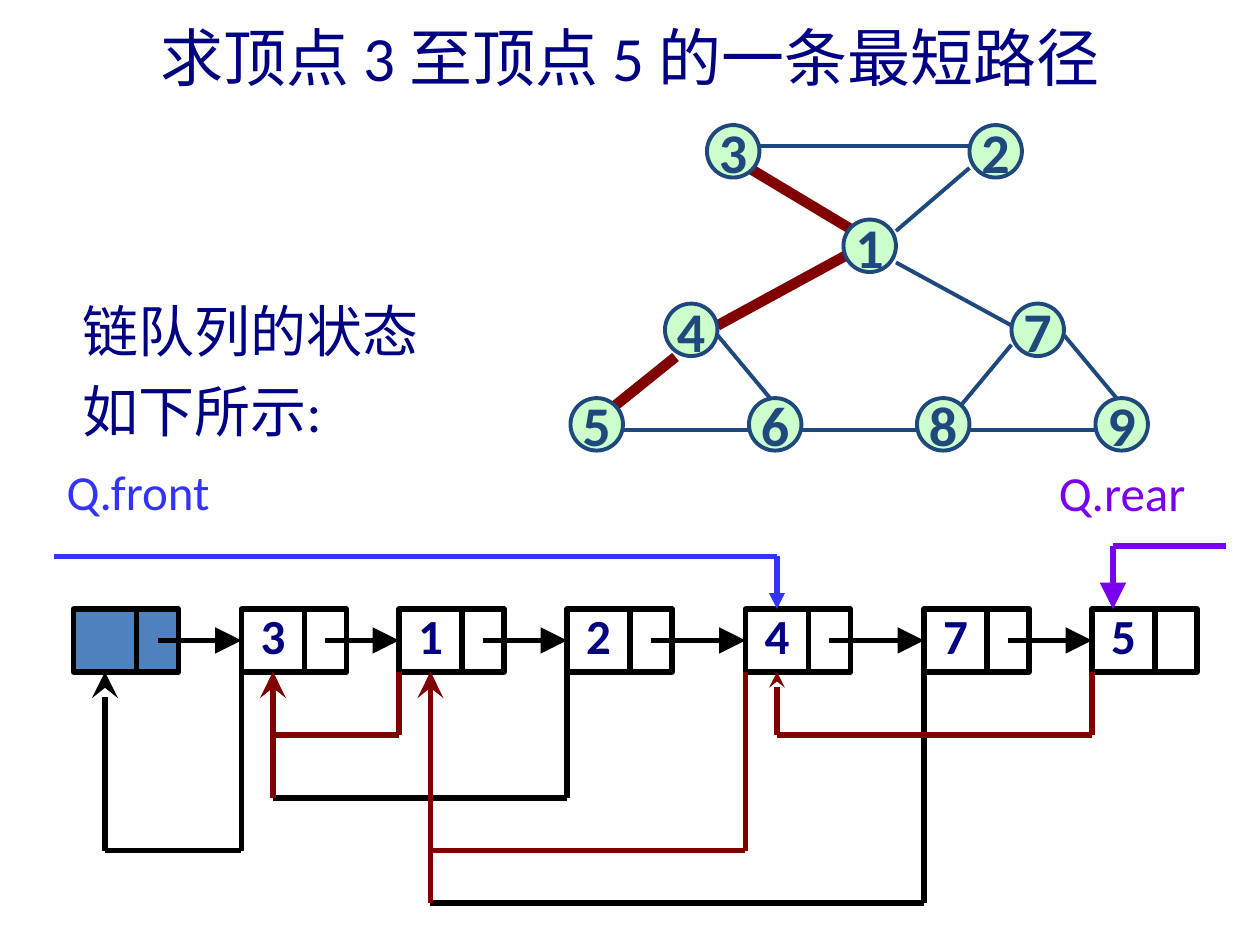
from lxml import etree
from pptx import Presentation
from pptx.dml.color import RGBColor
from pptx.enum.shapes import MSO_CONNECTOR, MSO_SHAPE
from pptx.enum.text import MSO_ANCHOR, MSO_AUTO_SIZE, PP_ALIGN
from pptx.oxml.ns import qn
from pptx.util import Pt

STRAIGHT = MSO_CONNECTOR.STRAIGHT
RECT, OVAL = MSO_SHAPE.RECTANGLE, MSO_SHAPE.OVAL
MIDDLE, CENTER = MSO_ANCHOR.MIDDLE, PP_ALIGN.CENTER
NO_FIT = MSO_AUTO_SIZE.NONE

NAVY = RGBColor(0x00, 0x00, 0x82)
BLACK = RGBColor(0x00, 0x00, 0x00)
MAROON = RGBColor(0x80, 0x00, 0x00)
SLATE = RGBColor(0x1F, 0x49, 0x7D)
MINT = RGBColor(0xCC, 0xFF, 0xCC)
STEEL = RGBColor(0x4F, 0x81, 0xBD)
BLUE = RGBColor(0x33, 0x33, 0xFF)
VIOLET = RGBColor(0x78, 0x00, 0xEE)

deck = Presentation()
deck.slide_width, deck.slide_height = Pt(720), Pt(540)
slide = deck.slides.add_slide(deck.slide_layouts[5])
shapes = slide.shapes


def write(shape, text, size, color, bold=False, align=None):
    para = shape.text_frame.paragraphs[0]
    para.alignment = align
    run = para.add_run()
    run.text = text
    look = {"name": "Calibri", "size": Pt(size), "bold": bold}
    for key, value in look.items():
        setattr(run.font, key, value)
    run.font.color.rgb = color
    return para


def draw(start, end, color, width=3, head=None, scale="lg"):
    line = shapes.add_connector(STRAIGHT, *map(Pt, start + end))
    line.line.color.rgb = color
    line.line.width = Pt(width)
    props = line.line._get_or_add_ln()
    if head:
        etree.SubElement(props, qn("a:tailEnd"), type=head, w=scale, len=scale)
    etree.SubElement(props.getparent(), qn("a:effectLst"))
    return line


# Title
title = shapes.title
place = {"left": 36, "top": 3.6, "width": 648, "height": 57}
for key, value in place.items():
    setattr(title, key, Pt(value))
title.text_frame.vertical_anchor = MIDDLE
title.text_frame.auto_size = NO_FIT
write(title, "求顶点 3 至顶点 5 的一条最短路径", 36, NAVY, align=CENTER)

# Text beside the graph and pointer names
notes = [
    ("链队列的状态如下所示:", (40, 158, 218, 100), 32, NAVY, True),
    ("Q.front", (31, 260, 97, 41), 28, BLUE, False),
    ("Q.rear", (598, 261, 88, 41), 28, VIOLET, False),
]
for text, spot, size, color, wrap in notes:
    box = shapes.add_textbox(*map(Pt, spot))
    box.text_frame.word_wrap = wrap
    para = write(box, text, size, color)
    if wrap:
        para.line_spacing = 1.2

# Queue: each entry has a data cell and a link cell
TOP, TALL, DATA, LINK = 348, 36, 36, 24
BASE, MID = TOP + TALL, TOP + TALL / 2
queue = [("", 42), ("3", 138), ("1", 228), ("2", 324),
         ("4", 426), ("7", 528), ("5", 624)]
cells = []
for text, left in queue:
    for x, wide in ((left, DATA), (left + DATA, LINK)):
        cell = shapes.add_shape(RECT, Pt(x), Pt(TOP), Pt(wide), Pt(TALL))
        cell.shadow.inherit = False
        cell.line.color.rgb = BLACK
        cell.line.width = Pt(3)
        if text:
            cell.fill.background()
        else:
            cell.fill.solid()
            cell.fill.fore_color.rgb = STEEL
        if x == left:
            cells.append(cell)
    if text:
        frame = cells[-1].text_frame
        margins = {"margin_left": 0, "margin_right": 0, "margin_top": 0,
                   "margin_bottom": Pt(6), "vertical_anchor": MIDDLE}
        for key, value in margins.items():
            setattr(frame, key, value)
        write(cells[-1], text, 28, NAVY, True, CENTER)

# Links to the next entry
for (_, left), (_, right), cell in zip(queue, queue[1:], cells[1:]):
    link = draw((left + DATA + LINK / 2, MID), (right, MID), BLACK,
                head="triangle")
    link.end_connect(cell, 1)

# Links back to the entry each one was reached from
backs = [
    (5, 2, 516, BLACK, MAROON, "stealth", "lg"),
    (3, 1, 456, BLACK, MAROON, "stealth", "lg"),
    (1, 0, 486, BLACK, BLACK, "stealth", "lg"),
    (6, 4, 420, MAROON, MAROON, "stealth", "med"),
    (2, 1, 420, MAROON, MAROON, "triangle", "sm"),
    (4, 2, 486, MAROON, MAROON, "triangle", "sm"),
]
for child, root, low, color, rise, head, scale in backs:
    x, goal = queue[child][1], queue[root][1] + DATA / 2
    draw((x, BASE), (x, low), color)
    draw((x, low), (goal, low), color)
    back = draw((goal, low), (goal, BASE), rise, head=head, scale=scale)
    back.end_connect(cells[root], 2)

# Front and rear pointers
draw((31, 318), (444, 318), BLUE)
front = draw((444, 318), (444, TOP), BLUE, head="triangle", scale="med")
front.end_connect(cells[4], 0)
draw((636, 312), (700.5, 312), VIOLET)
draw((636, 312), (636, TOP), VIOLET, head="triangle")

# Graph edges
edges = [
    (434, 83.5, 554, 83.5), (554, 96, 512, 132), (512, 150, 578, 186),
    (578, 197, 548, 233), (608, 191.5, 638, 227.5), (356, 245.5, 434, 245.5),
    (458, 245.5, 524, 245.5), (554, 245.5, 626, 245.5), (410, 191.5, 440, 227.5),
]
path = [(428, 96, 488, 132), (488, 143.5, 410, 186), (386, 204, 350, 233)]
for group, color, width in ((edges, SLATE, 2.25), (path, MAROON, 6)):
    for edge in group:
        draw(edge[:2], edge[2:], color, width)

# Graph nodes
nodes = [("3", 404, 71.5), ("2", 554, 71.5), ("1", 482, 125.5),
         ("4", 380, 173.5), ("7", 578, 173.5), ("5", 326, 227.5),
         ("6", 428, 227.5), ("8", 524, 227.5), ("9", 626, 227.5)]
for text, x, y in nodes:
    node = shapes.add_shape(OVAL, Pt(x), Pt(y), Pt(30), Pt(30))
    node.shadow.inherit = False
    node.fill.solid()
    node.fill.fore_color.rgb = MINT
    node.line.color.rgb = SLATE
    node.line.width = Pt(2.25)
    node.text_frame.word_wrap = False
    node.text_frame.vertical_anchor = MIDDLE
    write(node, text, 32, SLATE, True, CENTER)

deck.save("out.pptx")
